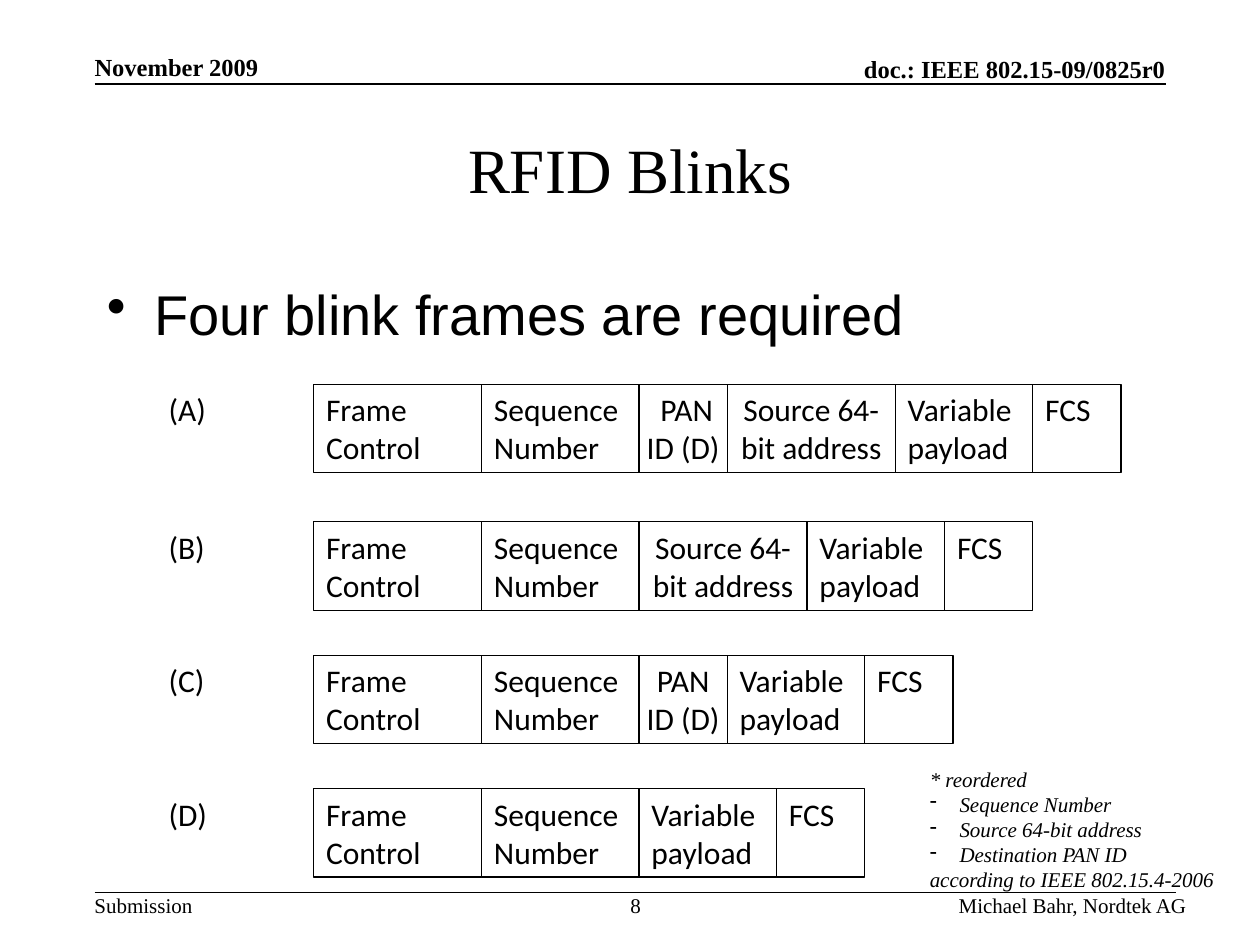
"""Builds the slide that shows the four RFID blink frame formats."""
from itertools import accumulate

from lxml.etree import SubElement
from pptx import Presentation
from pptx.dml.color import RGBColor
from pptx.enum.shapes import MSO_CONNECTOR, MSO_SHAPE
from pptx.enum.text import MSO_ANCHOR, PP_ALIGN
from pptx.oxml.ns import qn
from pptx.util import Pt

COLORS = {"ink": "000000", "paper": "FFFFFF"}
INSET = {"margin_left": Pt(7.2), "margin_right": Pt(7.2),
         "margin_top": Pt(3.6), "margin_bottom": Pt(3.6)}
NARROW = INSET | {"margin_left": 0, "margin_right": 0}
FLUSH = dict.fromkeys(INSET, 0)
TOP = {"vertical_anchor": MSO_ANCHOR.TOP}
MIDDLE = {"vertical_anchor": MSO_ANCHOR.MIDDLE}
BOTTOM = {"vertical_anchor": MSO_ANCHOR.BOTTOM}

SERIF = {"name": "Times New Roman", "size": Pt(12)}
HEADER = SERIF | {"size": Pt(14), "bold": True}
TITLE = SERIF | {"size": Pt(36)}
NOTE = SERIF | {"italic": True}
BODY = {"name": "Arial", "size": Pt(32)}
FIELD = {"name": "Calibri", "size": Pt(18)}

LEFT, CENTER, RIGHT = PP_ALIGN.LEFT, PP_ALIGN.CENTER, PP_ALIGN.RIGHT
FIELDS = {
    "frame": (["Frame Control"], 96, LEFT),
    "sequence": (["Sequence", "Number"], 90, LEFT),
    "pan_shifted": ([" PAN", "ID (D)"], 50.4, CENTER),
    "pan": (["PAN", "ID (D)"], 50.4, CENTER),
    "source": (["Source 64-bit address"], 96, CENTER),
    "payload": (["Variable", "payload"], 78.6, LEFT),
    "fcs": (["FCS"], 50.4, LEFT),
}
BLINKS = [
    ("(A)", 219.6, ["frame", "sequence", "pan_shifted", "source", "payload", "fcs"]),
    ("(B)", 298.2, ["frame", "sequence", "source", "payload", "fcs"]),
    ("(C)", 374.4, ["frame", "sequence", "pan", "payload", "fcs"]),
    ("(D)", 450.7, ["frame", "sequence", "payload", "fcs"]),
]
FRAME_LEFT, LABEL_LEFT, FIELD_HEIGHT = 179.2, 89.3, 50.5


def ink(color_name):
    """Return the named colour."""
    return RGBColor.from_string(COLORS[color_name])


def apply(target, values):
    """Set every attribute named in values on target."""
    for attribute, value in values.items():
        setattr(target, attribute, value)


def write(frame, lines, font, layout, align=LEFT):
    """Fill a text frame with one paragraph per line."""
    apply(frame, {"word_wrap": True} | layout)
    for index, line in enumerate(lines):
        paragraph = frame.add_paragraph() if index else frame.paragraphs[0]
        paragraph.alignment = align
        run = paragraph.add_run()
        run.text = line
        apply(run.font, font)
        run.font.color.rgb = ink("ink")
    return frame.paragraphs


def add_text(slide, box, lines, font, layout, align=LEFT):
    """Add a text box and return its paragraphs."""
    label = slide.shapes.add_textbox(*map(Pt, box))
    return write(label.text_frame, lines, font, layout, align)


def add_bullet(paragraph, mark, indent):
    """Give a paragraph a hanging bullet."""
    properties = paragraph._p.get_or_add_pPr()
    properties.set("marL", str(Pt(indent)))
    properties.set("indent", str(-Pt(indent)))
    SubElement(properties, qn("a:buChar")).set("char", mark)


def add_rule(slide, left, right, top):
    """Add a horizontal rule."""
    rule = slide.shapes.add_connector(
        MSO_CONNECTOR.STRAIGHT, Pt(left), Pt(top), Pt(right), Pt(top))
    rule.line.color.rgb = ink("ink")
    rule.line.width = Pt(1)
    SubElement(rule._element.spPr, qn("a:effectLst"))


def add_field(slide, left, top, name):
    """Add one bordered field of a frame."""
    lines, width, align = FIELDS[name]
    field = slide.shapes.add_shape(
        MSO_SHAPE.RECTANGLE, *map(Pt, (left, top, width, FIELD_HEIGHT)))
    field.shadow.inherit = False
    field.fill.background()
    field.line.color.rgb = ink("ink")
    field.line.width = Pt(0.75)
    insets = NARROW if align == CENTER else INSET
    write(field.text_frame, lines, FIELD, insets | TOP, align)


def add_blink(slide, label, top, names):
    """Add a labelled frame whose fields sit side by side."""
    add_text(slide, (LABEL_LEFT, top, 50.4, FIELD_HEIGHT), [label], FIELD, INSET)
    widths = [FIELDS[name][1] for name in names]
    for left, name in zip(accumulate(widths, initial=FRAME_LEFT), names):
        add_field(slide, left, top, name)


def add_header_and_footer(slide):
    """Add the running texts and their rules."""
    add_text(slide, (54, 29.5, 126, 16.8), ["November 2009"], HEADER, FLUSH | BOTTOM)
    add_text(slide, (354, 31, 312, 16.8), ["doc.: IEEE 802.15-09/0825r0"],
             HEADER, FLUSH | BOTTOM, RIGHT)
    add_rule(slide, 54, 666, 48)
    add_rule(slide, 54, 672, 510)
    add_text(slide, (54, 510, 56, 14.4), ["Submission"], SERIF, FLUSH)
    add_text(slide, (337.7, 510, 51, 14.4), ["8"], SERIF, FLUSH, CENTER)
    add_text(slide, (432, 510, 246, 14.4), ["Michael Bahr, Nordtek AG"],
             SERIF, FLUSH, RIGHT)


def add_note(slide):
    """Add the remark on the order of the fields."""
    lines = ["* reordered", "Sequence Number", "Source 64-bit address",
             "Destination PAN ID", "according to IEEE 802.15.4-2006"]
    paragraphs = add_text(slide, (524.2, 434.2, 195.8, 73.4), lines, NOTE, INSET)
    for paragraph in paragraphs[1:-1]:
        add_bullet(paragraph, "-", 17)


def main():
    """Build and save the slide."""
    deck = Presentation()
    apply(deck, {"slide_width": Pt(720), "slide_height": Pt(540)})
    slide = deck.slides.add_slide(deck.slide_layouts[6])
    slide.background.fill.solid()
    slide.background.fill.fore_color.rgb = ink("paper")
    add_header_and_footer(slide)
    add_text(slide, (54, 54, 612, 84), ["RFID Blinks"], TITLE, INSET | MIDDLE, CENTER)
    statement = add_text(slide, (54, 156, 612, 324),
                         ["Four blink frames are required"], BODY, INSET)[0]
    statement.space_before = Pt(8)
    add_bullet(statement, "•", 27)
    for blink in BLINKS:
        add_blink(slide, *blink)
    add_note(slide)
    deck.save("out.pptx")


if __name__ == "__main__":
    main()
